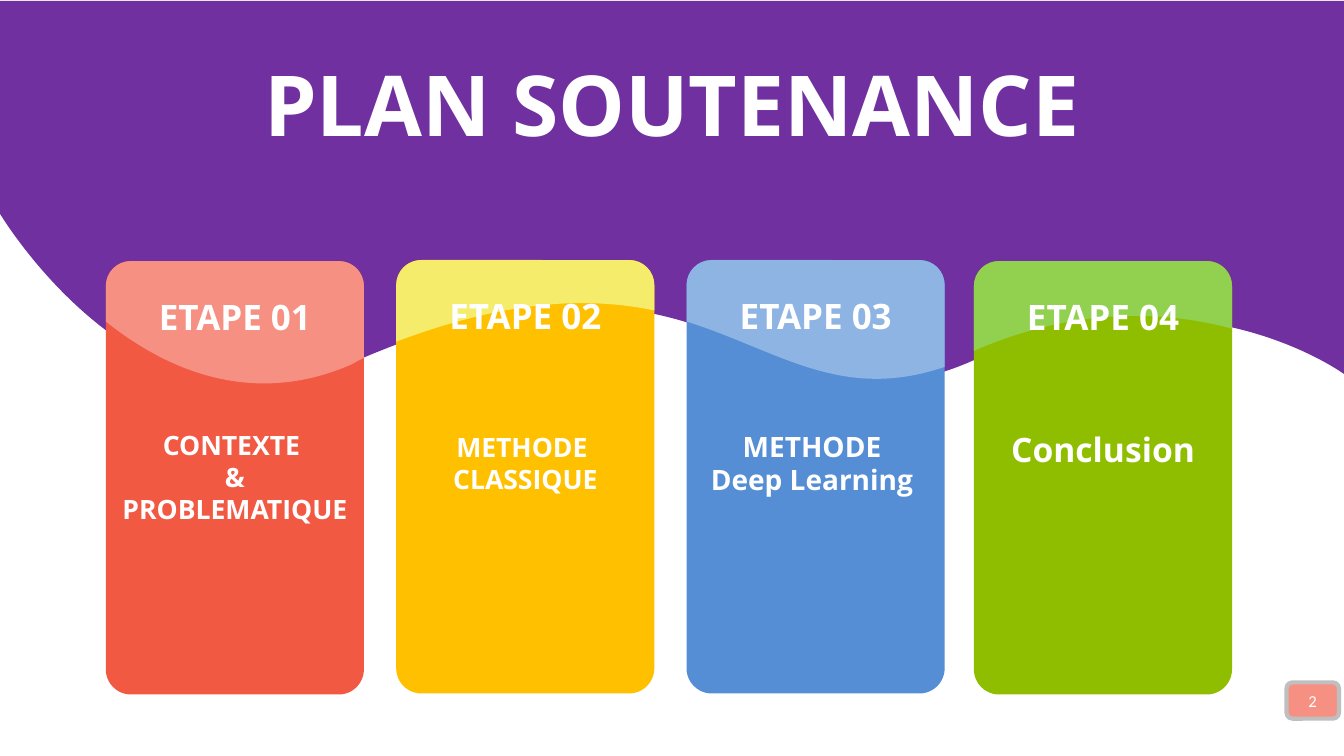
import pptx
import pptx.util
import pptx.dml.color
import pptx.enum.shapes
import pptx.enum.text
import pptx.oxml.ns
import lxml.etree

WIDE, HIGH = 13.33, 7.5
TITLE = "PLAN SOUTENANCE"
PAGE = "2"
WHITE = "FFFFFF"
PURPLE = "7030A0"
CARD_W, CARD_H, ROUND, NEAR = 2.56, 4.3, 0.25, 0.11
LABEL_W, LABEL_H, LABEL_DY = 1.53, 0.42, 0.34

SWELL = [(13.33, 3.71), (13.33, 3.71), (11.78, 2.58), (9.71, 3.55),
         (7.55, 4.56), (7.23, 1.92), (3.42, 3.63),
         (1.43, 4.52), (0, 2.12), (0, 2.12)]

CARDS = [
    dict(left=1.05, top=2.59, label="ETAPE 01", fill="F15943", cap="F69082",
         lines=["CONTEXTE ", "& PROBLEMATIQUE"], size=19, wrap=True,
         text=(4.26, 2.26, 0.96),
         wave=[(1.05, 3.19), (1.65, 3.67), (2.51, 4.05), (3.5, 3.61),
               (3.53, 3.59), (3.57, 3.57), (3.61, 3.55)]),
    dict(left=3.93, top=2.58, label="ETAPE 02", fill="FFC000", cap="F4EC6A",
         lines=["METHODE ", "CLASSIQUE"], size=19, wrap=False,
         text=(4.28, 1.45, 0.64),
         wave=[(3.93, 3.39), (5.07, 2.96), (5.86, 2.95), (6.49, 3.08)]),
    dict(left=6.81, top=2.58, label="ETAPE 03", fill="558ED5", cap="8EB4E3",
         lines=["METHODE ", "Deep Learning "], size=20, wrap=False,
         text=(4.26, 2.1, 0.67),
         wave=[(6.81, 3.19), (7.73, 3.48), (8.34, 3.99), (9.37, 3.64)]),
    dict(left=9.66, top=2.59, label="ETAPE 04", fill="8FBE00", cap="92D050",
         lines=["Conclusion"], size=24, wrap=False,
         text=(4.26, 1.84, 0.4),
         wave=[(9.66, 3.48), (10.69, 3.03), (11.59, 3.09), (12.22, 3.26)]),
]

inch = pptx.util.Inches
ALIGN = pptx.enum.text.PP_ALIGN
ANCHOR = pptx.enum.text.MSO_ANCHOR
FIT = pptx.enum.text.MSO_AUTO_SIZE
SHAPE = pptx.enum.shapes.MSO_SHAPE


def color(code):
    """Return the colour for a hex string."""
    return pptx.dml.color.RGBColor.from_string(code)


def paint(shape, fill):
    """Give a shape a flat fill without line or shadow."""
    shape.shadow.inherit = False
    shape.fill.solid()
    shape.fill.fore_color.rgb = color(fill)
    shape.line.fill.background()


def write(frame, lines, size, font="Open Sans", bold=True, wrap=True):
    """Put centred white lines of text in a frame."""
    frame.word_wrap = wrap
    for i, line in enumerate(lines):
        para = frame.paragraphs[0] if i == 0 else frame.add_paragraph()
        para.alignment = ALIGN.CENTER
        run = para.add_run()
        run.text = line
        run.font.name = font
        run.font.size = pptx.util.Pt(size)
        run.font.bold = bold
        run.font.color.rgb = color(WHITE)


def label(slide, box, lines, size, wrap=True):
    """Add a text box without insets."""
    frame = slide.shapes.add_textbox(*map(inch, box)).text_frame
    frame.margin_left = frame.margin_right = 0
    frame.margin_top = frame.margin_bottom = 0
    frame.auto_size = FIT.SHAPE_TO_FIT_TEXT
    write(frame, lines, size, wrap=wrap)


def curves(knots):
    """Split a chain of knots into cubic steps."""
    return [knots[i:i + 3] for i in range(1, len(knots), 3)]


def outline(slide, start, steps, fill):
    """Draw a closed outline of straight (1 point) and cubic (3 points) steps."""
    dots = [(inch(x), inch(y)) for step in steps for x, y in step]
    form = slide.shapes.build_freeform(*map(inch, start))
    form.add_line_segments(dots, close=True)
    shape = form.convert_to_shape()
    sides = iter(shape.element.xpath(".//a:lnTo"))
    for step in steps:
        group = [next(sides) for dot in step]
        if len(group) == 3:
            bend = lxml.etree.Element(pptx.oxml.ns.qn("a:cubicBezTo"))
            group[0].addprevious(bend)
            for side in group:
                bend.append(side[0])
                side.getparent().remove(side)
    paint(shape, fill)


def card(slide, item):
    """Draw one step with its wavy cap and texts."""
    left, top = item["left"], item["top"]
    right, mid = left + CARD_W, left + CARD_W / 2
    body = slide.shapes.add_shape(SHAPE.ROUNDED_RECTANGLE,
                                  *map(inch, (left, top, CARD_W, CARD_H)))
    body.adjustments[0] = ROUND / CARD_W
    paint(body, item["fill"])
    bend = [(0, ROUND), (0, NEAR), (NEAR, 0), (ROUND, 0)]
    rise = [(left + x, top + y) for x, y in bend]
    fall = [(right - x, top + y) for x, y in reversed(bend)]
    wave = item["wave"][::-1]
    steps = curves(rise) + [fall[:1]] + curves(fall) + [wave[:1]] + curves(wave)
    outline(slide, rise[0], steps, item["cap"])
    text_y, width, height = item["text"]
    label(slide, (mid - width / 2, text_y, width, height),
          item["lines"], item["size"], wrap=item["wrap"])
    label(slide, (mid - LABEL_W / 2, top + LABEL_DY, LABEL_W, LABEL_H),
          [item["label"]], 25, wrap=False)


def main():
    """Build and save the slide."""
    deck = pptx.Presentation()
    deck.slide_width, deck.slide_height = inch(WIDE), inch(HIGH)
    slide = deck.slides.add_slide(deck.slide_layouts[6])
    roof = [[(0, 0.01)], [(WIDE, 0.01)]]
    outline(slide, SWELL[0], curves(SWELL) + roof, PURPLE)
    label(slide, (2.02, 0.52, 9.29, 1.01), [TITLE], 60)
    for item in CARDS:
        card(slide, item)
    badge = slide.shapes.add_shape(SHAPE.ROUNDED_RECTANGLE,
                                   *map(inch, (12.76, 6.77, 0.52, 0.36)))
    paint(badge, "F69082")
    badge.line.color.rgb = color("BFBFBF")
    badge.line.width = pptx.util.Pt(3)
    badge.text_frame.vertical_anchor = ANCHOR.MIDDLE
    write(badge.text_frame, [PAGE], 12, font="Calibri", bold=False)
    deck.save("out.pptx")


if __name__ == "__main__":
    main()
